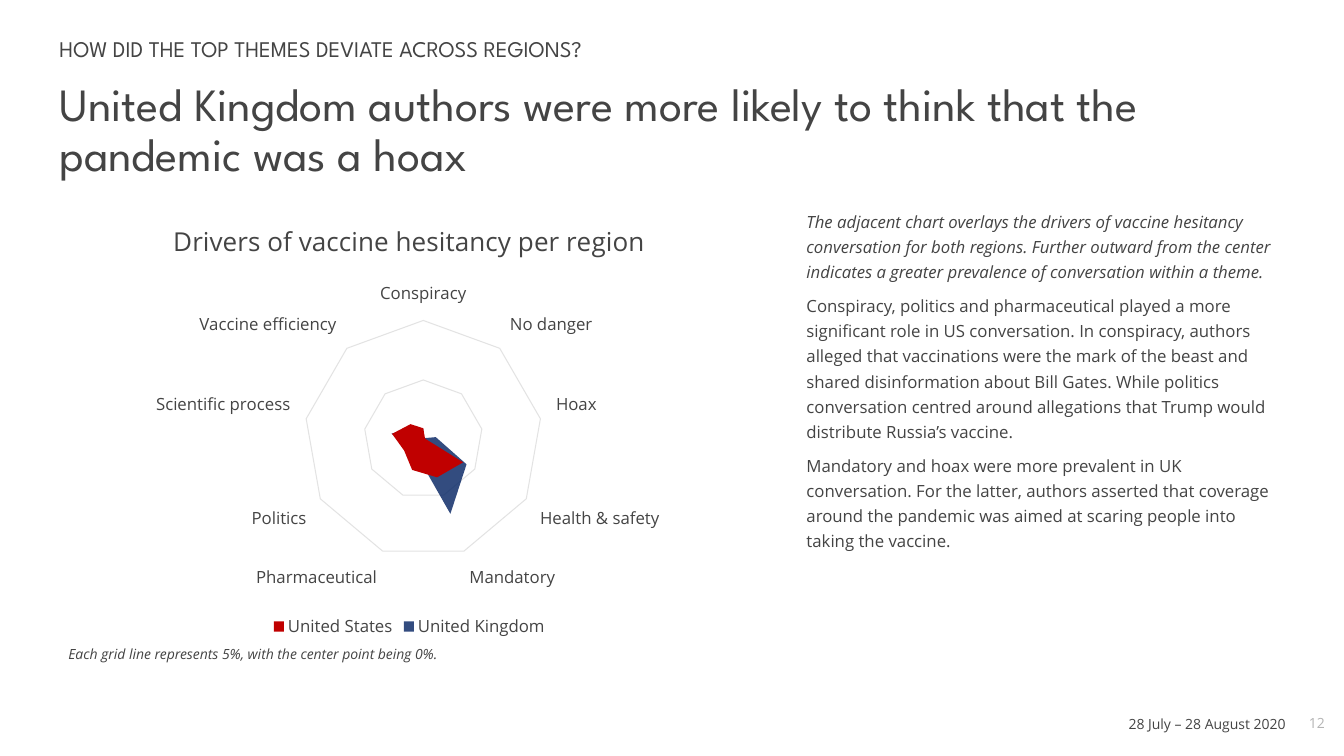
from dataclasses import dataclass

from lxml import etree
from pptx import Presentation
from pptx.chart import data as chart_data
from pptx.dml.color import RGBColor
from pptx.enum import chart as ch, text as tx
from pptx.oxml import ns
from pptx.util import Inches, Pt

COLORS = {"ink": "444444", "page": "B4B4B4", "grid": "E3E3E3",
          "us": "C00000", "uk": "002060"}
HEADING, BODY = "League Spartan", "Open Sans"


@dataclass
class Paragraph:
    text: str
    italic: bool = False


@dataclass
class TextBlock:
    box: tuple[float, float, float, float]
    paragraphs: list[Paragraph]
    size: float
    font: str = BODY
    color: str = "ink"
    align: tx.PP_ALIGN = tx.PP_ALIGN.LEFT
    line_spacing: float | Pt | None = None
    space_after: float = 0
    insets: tuple[float, float] = (0, 0)


@dataclass
class Region:
    name: str
    values: list[int]
    color: str
    opacity: int = 100


TITLE = TextBlock(
    (0.59, 0.81, 12.15, 0.99),
    [Paragraph("United Kingdom authors were more likely to think that the pandemic was a hoax")],
    33, HEADING, line_spacing=0.9, space_after=11)

TEXT_BLOCKS = [
    TextBlock((9.83, 7.1, 2.92, 0.17), [Paragraph("28 July – 28 August 2020")],
              10, align=tx.PP_ALIGN.RIGHT),
    TextBlock((12.9, 7.09, 0.32, 0.17), [Paragraph("12")],
              10, color="page", align=tx.PP_ALIGN.CENTER),
    TextBlock((0.59, 0.28, 12.16, 0.35),
              [Paragraph("HOW DID THE TOP THEMES DEVIATE ACROSS REGIONS?")],
              16, HEADING, line_spacing=Pt(24), space_after=12),
    TextBlock((7.9, 2, 4.85, 4.59), [
        Paragraph("The adjacent chart overlays the drivers of vaccine hesitancy conversation "
                  "for both regions. Further outward from the center indicates a greater "
                  "prevalence of conversation within a theme.", italic=True),
        Paragraph("Conspiracy, politics and pharmaceutical played a more significant role in US "
                  "conversation. In conspiracy, authors alleged that vaccinations were the mark "
                  "of the beast and shared disinformation about Bill Gates. While politics "
                  "conversation centred around allegations that Trump would distribute "
                  "Russia’s vaccine."),
        Paragraph("Mandatory and hoax were more prevalent in UK conversation. For the latter, "
                  "authors asserted that coverage around the pandemic was aimed at scaring "
                  "people into taking the vaccine."),
    ], 12, line_spacing=Pt(18), space_after=6, insets=(0.1, 0.05)),
    TextBlock((0.58, 6.35, 5.64, 0.44),
              [Paragraph("Each grid line represents 5%, with the center point being 0%.", italic=True)],
              10, insets=(0.1, 0.05)),
]

CHART_TITLE = "Drivers of vaccine hesitancy per region"
CHART_BOX = (0.59, 2, 6.94, 4.37)
PLOT_AREA = {"x": 0.35, "y": 0.27, "w": 0.34, "h": 0.54}
THEMES = ["Conspiracy", "No danger", "Hoax", "Health & safety", "Mandatory",
          "Pharmaceutical", "Politics", "Scientific process", "Vaccine efficiency"]
REGIONS = [
    Region("United States", [14, 3, 3, 58, 51, 41, 28, 40, 25], "us"),
    Region("United Kingdom", [13, 2, 16, 63, 100, 22, 16, 41, 19], "uk", 80),
]


def rgb(name: str) -> RGBColor:
    return RGBColor.from_string(COLORS[name])


def set_font(font, size: float, name: str = BODY, color: str = "ink") -> None:
    font.size, font.name = Pt(size), name
    font.color.rgb = rgb(color)


def fill_text(shape, block: TextBlock) -> None:
    """Place a shape and write a block's paragraphs into it."""
    shape.left, shape.top, shape.width, shape.height = map(Inches, block.box)
    frame = shape.text_frame
    frame.word_wrap = True
    frame.auto_size = tx.MSO_AUTO_SIZE.NONE
    frame.vertical_anchor = tx.MSO_ANCHOR.TOP
    frame.margin_left = frame.margin_right = Inches(block.insets[0])
    frame.margin_top = frame.margin_bottom = Inches(block.insets[1])
    for index, content in enumerate(block.paragraphs):
        paragraph = frame.add_paragraph() if index else frame.paragraphs[0]
        paragraph.text = content.text
        paragraph.alignment = block.align
        paragraph.line_spacing = block.line_spacing
        paragraph.space_after = Pt(block.space_after)
        set_font(paragraph.font, block.size, block.font, block.color)
        paragraph.font.italic = content.italic


def set_plot_area(chart) -> None:
    """Fix the inner plot area as fractions of the chart."""
    plot_area = chart._chartSpace.chart.plotArea
    for old in plot_area.findall(ns.qn("c:layout")):
        plot_area.remove(old)
    layout = etree.Element(ns.qn("c:layout"))
    manual = etree.SubElement(layout, ns.qn("c:manualLayout"))
    settings = {"layoutTarget": "inner", "xMode": "edge", "yMode": "edge", **PLOT_AREA}
    for tag, value in settings.items():
        etree.SubElement(manual, ns.qn(f"c:{tag}")).set("val", str(value))
    plot_area.insert(0, layout)


def grid_line(line) -> None:
    line.color.rgb = rgb("grid")
    line.width = Pt(0.75)


def add_radar(slide) -> None:
    radar_data = chart_data.CategoryChartData()
    radar_data.categories = THEMES
    for region in REGIONS:
        radar_data.add_series(region.name, region.values)
    chart = slide.shapes.add_chart(
        ch.XL_CHART_TYPE.RADAR_FILLED, *map(Inches, CHART_BOX), radar_data).chart
    set_font(chart.font, 10)

    chart.has_title = True
    heading = chart.chart_title.text_frame.paragraphs[0]
    heading.text = CHART_TITLE
    set_font(heading.font, 18.6)
    heading.font.bold = False

    chart.has_legend = True
    chart.legend.position = ch.XL_LEGEND_POSITION.BOTTOM
    chart.legend.include_in_layout = False
    set_font(chart.legend.font, 12)

    themes, scale = chart.category_axis, chart.value_axis
    themes.major_tick_mark = ch.XL_TICK_MARK.NONE
    set_font(themes.tick_labels.font, 12)
    grid_line(themes.format.line)
    scale.minimum_scale, scale.maximum_scale, scale.major_unit = 0, 150, 75
    scale.visible = False
    for axis in (themes, scale):
        axis.has_major_gridlines = True
        grid_line(axis.major_gridlines.format.line)

    plot = chart.plots[0]
    plot.vary_by_categories = False
    for series, region in zip(plot.series, REGIONS):
        fill = series.format.fill
        fill.solid()
        fill.fore_color.rgb = rgb(region.color)
        series.format.line.fill.background()
        if region.opacity < 100:
            color = series.format._element.spPr.find(".//" + ns.qn("a:srgbClr")) \
                if hasattr(series.format._element, "spPr") else \
                series._element.find(".//" + ns.qn("a:srgbClr"))
            etree.SubElement(color, ns.qn("a:alpha")).set("val", str(region.opacity * 1000))
    set_plot_area(chart)


def main() -> None:
    deck = Presentation()
    deck.slide_width, deck.slide_height = Inches(13.33), Inches(7.5)
    slide = deck.slides.add_slide(deck.slide_layouts[5])
    fill_text(slide.shapes.title, TITLE)
    add_radar(slide)
    for block in TEXT_BLOCKS:
        fill_text(slide.shapes.add_textbox(*map(Inches, block.box)), block)
    deck.save("out.pptx")


if __name__ == "__main__":
    main()
